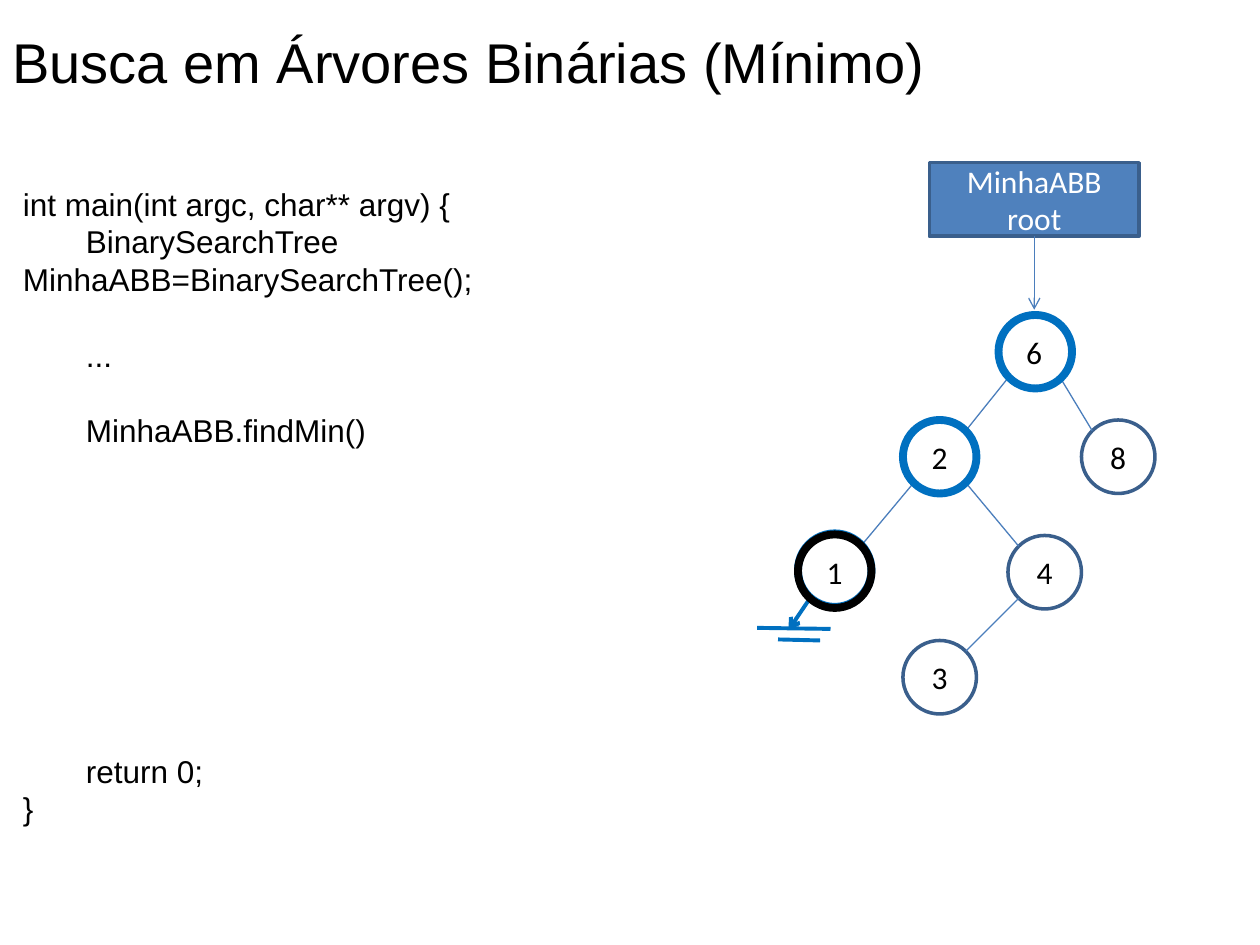
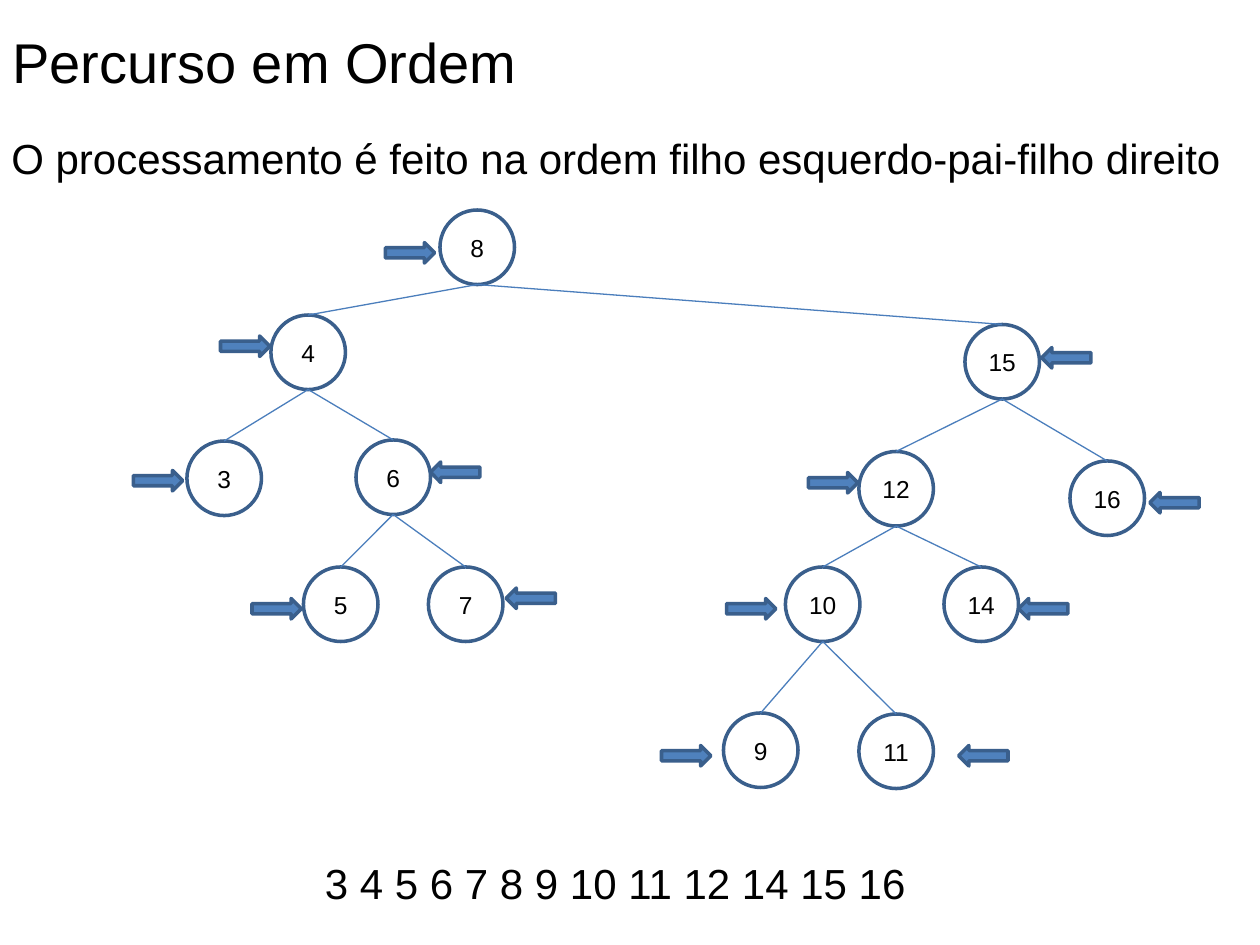
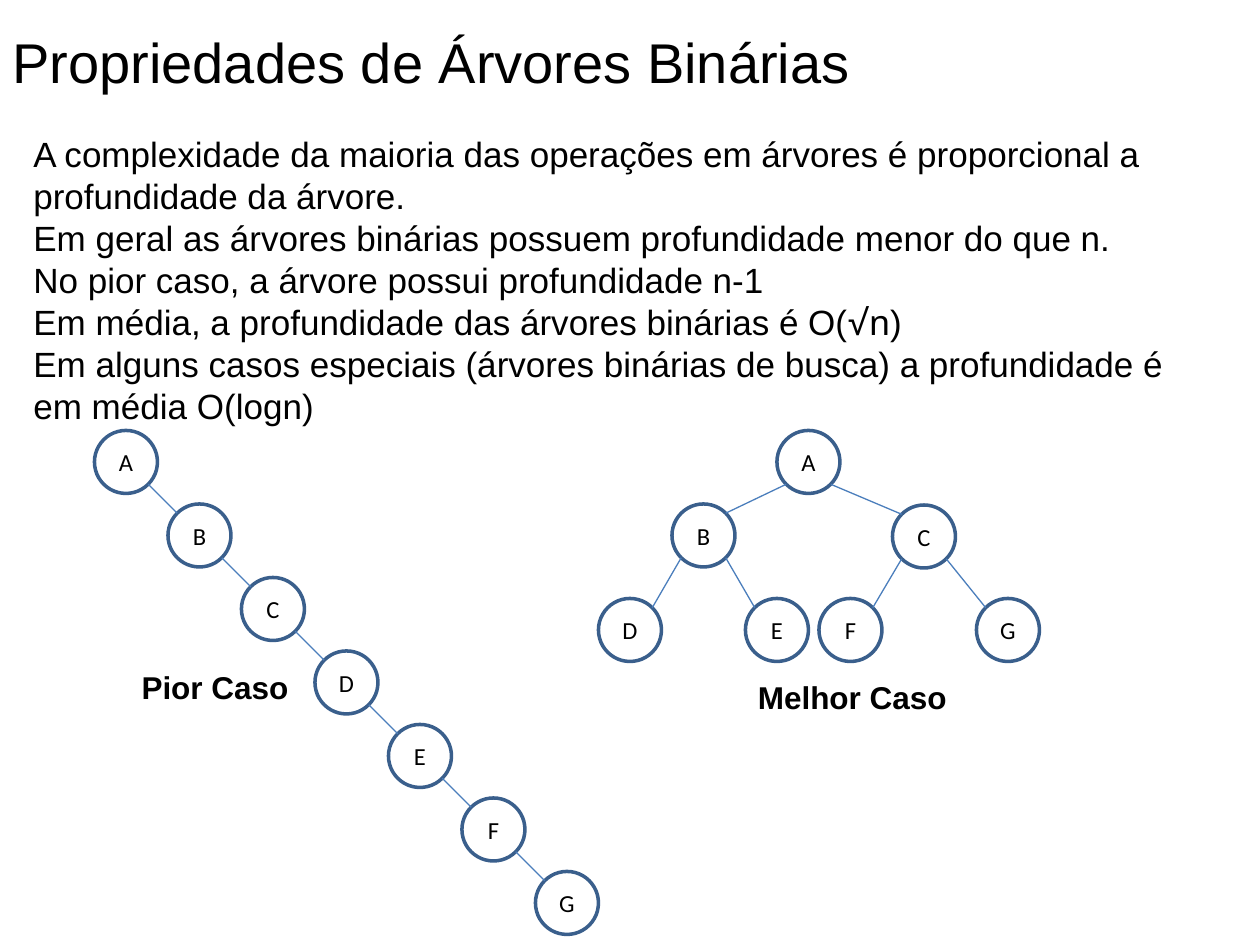
from math import sqrt

from lxml.etree import SubElement
from pptx import Presentation
from pptx.dml.color import RGBColor
from pptx.enum.shapes import MSO_CONNECTOR, MSO_SHAPE
from pptx.enum.text import MSO_ANCHOR, MSO_AUTO_SIZE, PP_ALIGN
from pptx.oxml.ns import qn
from pptx.util import Inches, Pt

BLACK = RGBColor(0x00, 0x00, 0x00)
WHITE = RGBColor(0xFF, 0xFF, 0xFF)
FILL_BLUE = RGBColor(0x4F, 0x81, 0xBD)
OUTLINE_BLUE = RGBColor(0x3A, 0x5F, 0x8C)
EDGE_BLUE = RGBColor(0x4B, 0x7E, 0xBC)
PATH_BLUE = RGBColor(0x00, 0x70, 0xC0)

COLUMNS = 120
ROWS = 90
BLANK_LINE = 21.6


class Deck:
    text_font = "Arial"
    node_font = "Calibri"

    def __init__(self):
        self.presentation = Presentation()
        self.presentation.slide_width = Inches(10)
        self.presentation.slide_height = Inches(7.5)
        self.column = self.presentation.slide_width / COLUMNS
        self.row = self.presentation.slide_height / ROWS
        self.slide = None

    def add_slide(self, title, title_width):
        layout = self.presentation.slide_layouts[6]
        self.slide = self.presentation.slides.add_slide(layout)
        self.text((0, 2, title_width, 7.7), [title], 32, wrap=False)

    def place(self, left, top, width, height):
        return (round(left * self.column), round(top * self.row),
                round(width * self.column), round(height * self.row))

    def fill_frame(self, frame, lines, size, font, color, align, bold=False):
        for index, line in enumerate(lines):
            paragraph = frame.paragraphs[0] if index == 0 else frame.add_paragraph()
            paragraph.text = line
            paragraph.alignment = align
            paragraph.font.size = Pt(size)
            paragraph.font.name = font
            paragraph.font.color.rgb = color
            paragraph.font.bold = bold

    def text(self, box, lines, size, align=PP_ALIGN.LEFT, bold=False, wrap=True):
        frame = self.slide.shapes.add_textbox(*self.place(*box)).text_frame
        frame.word_wrap = wrap
        frame.auto_size = MSO_AUTO_SIZE.SHAPE_TO_FIT_TEXT
        self.fill_frame(frame, lines, size, self.text_font, BLACK, align, bold)
        return frame

    def shape(self, kind, box, fill=None, line=OUTLINE_BLUE, weight=2):
        shape = self.slide.shapes.add_shape(kind, *self.place(*box))
        shape.shadow.inherit = False
        if fill is None:
            shape.fill.background()
        else:
            shape.fill.solid()
            shape.fill.fore_color.rgb = fill
        shape.line.color.rgb = line
        shape.line.width = Pt(weight)
        return shape

    def label(self, shape, lines, size, font, color=BLACK):
        frame = shape.text_frame
        frame.word_wrap = False
        frame.vertical_anchor = MSO_ANCHOR.MIDDLE
        self.fill_frame(frame, lines, size, font, color, PP_ALIGN.CENTER)

    def line(self, start, end, color=EDGE_BLUE, weight=0.75, arrow=False):
        connector = self.slide.shapes.add_connector(
            MSO_CONNECTOR.STRAIGHT,
            *self.place(*start, *end))
        connector.line.color.rgb = color
        connector.line.width = Pt(weight)
        properties = connector._element.spPr
        if arrow:
            SubElement(properties.find(qn("a:ln")), qn("a:tailEnd"), type="arrow")
        SubElement(properties, qn("a:effectLst"))

    def ring(self, left, top, diameter, color):
        self.shape(MSO_SHAPE.OVAL, (left, top, diameter, diameter),
                   line=color, weight=4.5)

    def marker(self, left, top, kind):
        self.shape(kind, (left, top, 4.7, 1.95), fill=FILL_BLUE)

    def tree(self, nodes, edges, diameter, size, font, diagonal=True):
        for name, (left, top) in nodes.items():
            node = self.shape(MSO_SHAPE.OVAL, (left, top, diameter, diameter))
            self.label(node, [name], size, font)
        radius = diameter / 2
        reach = radius / sqrt(2) if diagonal else radius
        for parent, child in edges:
            (parent_left, parent_top), (child_left, child_top) = nodes[parent], nodes[child]
            side = 1 if child_left > parent_left else -1
            shift = side * reach if diagonal else 0
            self.line((parent_left + radius + shift, parent_top + radius + reach),
                      (child_left + radius - shift, child_top + radius - reach))


def minimum_slide(deck):
    deck.add_slide("Busca em Árvores Binárias (Mínimo)", 90)
    nodes = {"6": (95, 30), "8": (103, 40), "2": (86, 40),
             "4": (96, 51), "3": (86, 61), "1": (76, 51)}
    deck.tree(nodes, ["68", "62", "24", "43", "21"], 7, 18, deck.node_font)

    root = deck.shape(MSO_SHAPE.RECTANGLE, (88.5, 15.5, 20, 7), fill=FILL_BLUE)
    deck.label(root, ["MinhaABB", "root"], 18, deck.node_font, WHITE)
    deck.line((98.5, 22.5), (98.5, 29.5), arrow=True)

    deck.line((72.1, 59.8), (79.1, 59.9), PATH_BLUE, 2.25)
    deck.line((74.1, 60.9), (78.1, 61), PATH_BLUE, 2.25)
    deck.line((77.2, 56.9), (75.1, 60), PATH_BLUE, 2.25, arrow=True)

    code = deck.text((1, 17, 70.2, 63), [
        "int main(int argc, char** argv) {",
        "\tBinarySearchTree MinhaABB=BinarySearchTree();",
        "\t...",
        "\tMinhaABB.findMin()",
        "\treturn 0;",
        "}",
    ], 18)
    for index, blank_lines in {2: 1, 3: 1, 4: 8}.items():
        code.paragraphs[index].space_before = Pt(blank_lines * BLANK_LINE)

    for left, top, color in ((95.1, 30, PATH_BLUE), (86, 40, PATH_BLUE),
                             (76, 50.8, PATH_BLUE), (76, 50.9, BLACK)):
        deck.ring(left, top, 7, color)


def traversal_slide(deck):
    deck.add_slide("Percurso em Ordem", 50.9)
    deck.text((-0.1, 12, 119, 6), [
        "O processamento é feito na ordem filho esquerdo-pai-filho direito"], 24)

    markers = {
        MSO_SHAPE.RIGHT_ARROW: [(12.7, 44.8), (24, 57), (21, 32), (36.7, 23.1),
                                (77, 45), (69.2, 57), (63, 71)],
        MSO_SHAPE.LEFT_ARROW: [(48.2, 56), (41, 44), (99.2, 33.1), (109.5, 46.9),
                               (97, 57), (91.3, 71)],
    }
    for kind, positions in markers.items():
        for left, top in positions:
            deck.marker(left, top, kind)

    nodes = {
        "8": (41.9, 20), "4": (25.8, 30), "3": (17.8, 42), "6": (33.9, 41.9),
        "5": (28.9, 54), "7": (40.8, 54), "15": (91.9, 30.9), "16": (101.9, 43.9),
        "12": (81.8, 43), "14": (89.9, 54), "10": (74.8, 54),
        "9": (68.9, 67.9), "11": (81.8, 68),
    }
    edges = [("8", "4"), ("8", "15"), ("4", "3"), ("4", "6"), ("6", "5"), ("6", "7"),
             ("15", "12"), ("15", "16"), ("12", "10"), ("12", "14"),
             ("10", "9"), ("10", "11")]
    deck.tree(nodes, edges, 7.1, 14, deck.text_font, diagonal=False)

    deck.text((25.3, 81.1, 66.6, 6), ["3 4 5 6 7 8 9 10 11 12 14 15 16"], 24,
              PP_ALIGN.CENTER)


def properties_slide(deck):
    deck.add_slide("Propriedades de Árvores Binárias", 82.8)
    frame = deck.text((2, 12, 115, 29.5), [
        "A complexidade da maioria das operações em árvores é proporcional a "
        "profundidade da árvore.",
        "Em geral as árvores binárias possuem profundidade menor do que n.",
        "No pior caso, a árvore possui profundidade n-1",
        "Em média, a profundidade das árvores binárias é O(",
        "Em alguns casos especiais (árvores binárias de busca) a profundidade é "
        "em média O(logn)",
    ], 20)
    average = frame.paragraphs[3]
    for text, font in (("√n", "Noto Sans Mono"), (")", deck.text_font)):
        run = average.add_run()
        run.text = text
        run.font.name = font

    worst = {name: (9 + 7 * step, 41 + 7 * step) for step, name in enumerate("ABCDEFG")}
    deck.tree(worst, ["AB", "BC", "CD", "DE", "EF", "FG"], 6, 14, deck.node_font)
    deck.text((12.3, 63, 16.6, 4.8), ["Pior Caso"], 18, bold=True, wrap=False)

    best = {"A": (74, 41), "B": (64, 48), "C": (85, 48.1), "D": (57, 57),
            "E": (71, 57), "F": (78, 57), "G": (93, 57)}
    deck.tree(best, ["AB", "AC", "BD", "BE", "CF", "CG"], 6, 14, deck.node_font)
    deck.text((71, 64, 20.6, 4.8), ["Melhor Caso"], 18, bold=True, wrap=False)


deck = Deck()
minimum_slide(deck)
traversal_slide(deck)
properties_slide(deck)
deck.presentation.save("out.pptx")
